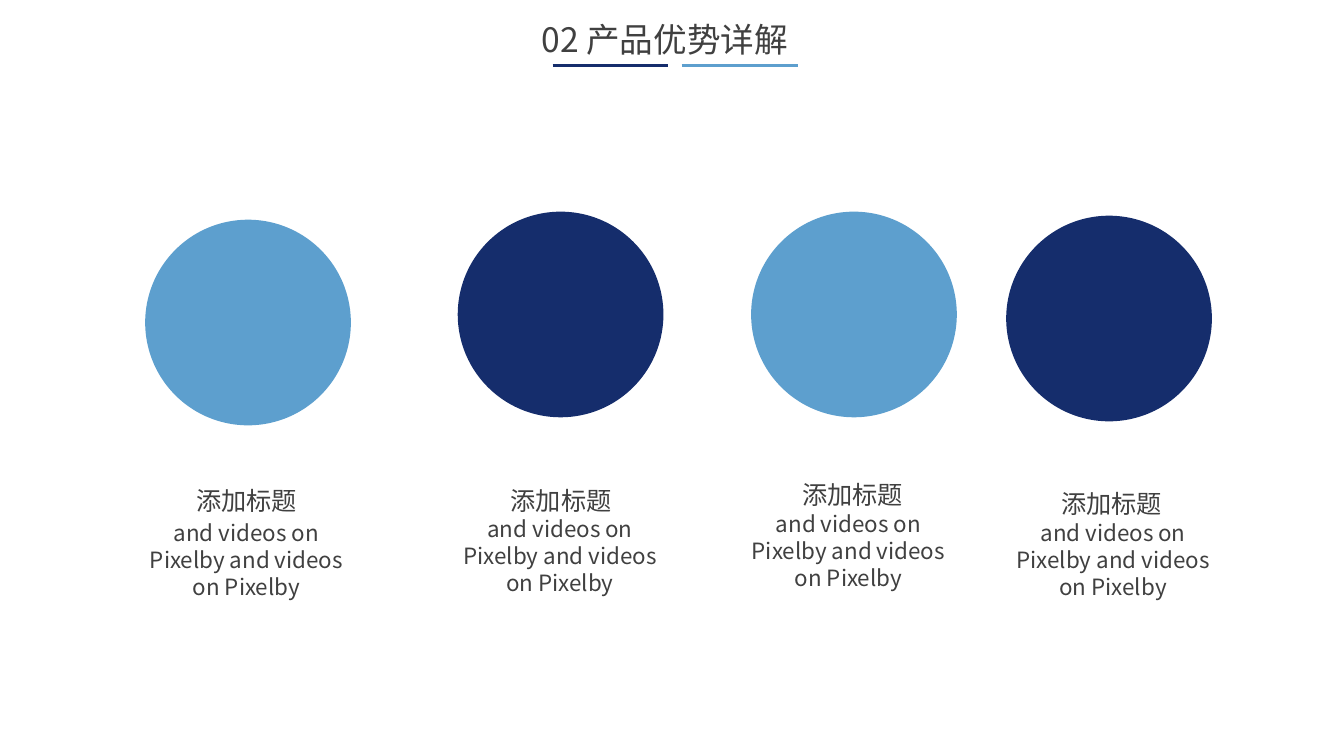
"""Build the product advantages slide: a ruled title above four captioned circles."""
from dataclasses import dataclass

from lxml.etree import SubElement
from pptx import Presentation
from pptx.dml.color import RGBColor
from pptx.enum.shapes import MSO_CONNECTOR, MSO_SHAPE
from pptx.enum.text import MSO_ANCHOR, MSO_AUTO_SIZE, PP_ALIGN
from pptx.oxml.ns import qn
from pptx.util import Inches, Pt


@dataclass(frozen=True)
class Theme:
    navy: RGBColor = RGBColor(0x15, 0x2D, 0x6C)
    sky: RGBColor = RGBColor(0x5D, 0x9F, 0xCE)
    ink: RGBColor = RGBColor(0x40, 0x40, 0x40)
    font: str = "Noto Sans CJK SC"
    title: Pt = Pt(24)
    heading: Pt = Pt(18)
    body: Pt = Pt(16)
    rule: Pt = Pt(2)


theme = Theme()
deck = Presentation()
deck.slide_width, deck.slide_height = Inches(13.33), Inches(7.5)
slide = deck.slides.add_slide(deck.slide_layouts[5])
shapes = slide.shapes
cell = Inches(0.1)


def grid(*cells):
    return [round(cell * count) for count in cells]


def write(frame, text, size, align):
    frame.vertical_anchor = MSO_ANCHOR.TOP
    paragraph = frame.paragraphs[0]
    paragraph.alignment = align
    run = paragraph.add_run()
    run.text = text
    run.font.size = size
    run.font.color.rgb = theme.ink
    run.font.name = theme.font
    SubElement(run.font._element, qn("a:ea"), typeface=theme.font)
    return paragraph


title = shapes.title
title.left, title.top, title.width, title.height = grid(52.7, 1.4, 28.8, 5)
title.text_frame.auto_size = MSO_AUTO_SIZE.NONE
write(title.text_frame, "02 产品优势详解", theme.title, PP_ALIGN.JUSTIFY)

rule_width, rule_row = 11.5, 6.5
for rule_column, color in ((54.8, theme.navy), (67.6, theme.sky)):
    rule = shapes.add_connector(
        MSO_CONNECTOR.STRAIGHT,
        *grid(rule_column, rule_row, rule_column + rule_width, rule_row),
    )
    rule.line.color.rgb = color
    rule.line.width = theme.rule
    SubElement(rule._element.spPr, qn("a:effectLst"))

diameter, heading_width = 20.4, 10.1
advantages = (
    (theme.sky, (14.4, 21.8), (19.4, 46), (13.1, 51, 22.7)),
    (theme.navy, (45.4, 21), (50.6, 46), (44, 50.6, 23.1)),
    (theme.sky, (74.5, 21), (79.5, 45.4), (72.9, 50.1, 22.5)),
    (theme.navy, (99.8, 21.4), (105.2, 46.3), (99, 51, 22.8)),
)
for color, circle_at, heading_at, (body_column, body_row, body_width) in advantages:
    circle = shapes.add_shape(MSO_SHAPE.OVAL, *grid(*circle_at, diameter, diameter))
    circle.shadow.inherit = False
    circle.fill.solid()
    circle.fill.fore_color.rgb = color
    circle.line.fill.background()

    heading = shapes.add_textbox(*grid(*heading_at, heading_width, 4.6)).text_frame
    heading.word_wrap = False
    heading.margin_left = heading.margin_right = 0
    heading.margin_top = heading.margin_bottom = 0
    write(heading, "添加标题", theme.heading, PP_ALIGN.CENTER).line_spacing = Pt(37)

    body = shapes.add_textbox(*grid(body_column, body_row, body_width, 11.8)).text_frame
    body.word_wrap = True
    write(body, "and videos on Pixelby and videos on Pixelby", theme.body, PP_ALIGN.CENTER)

deck.save("out.pptx")
